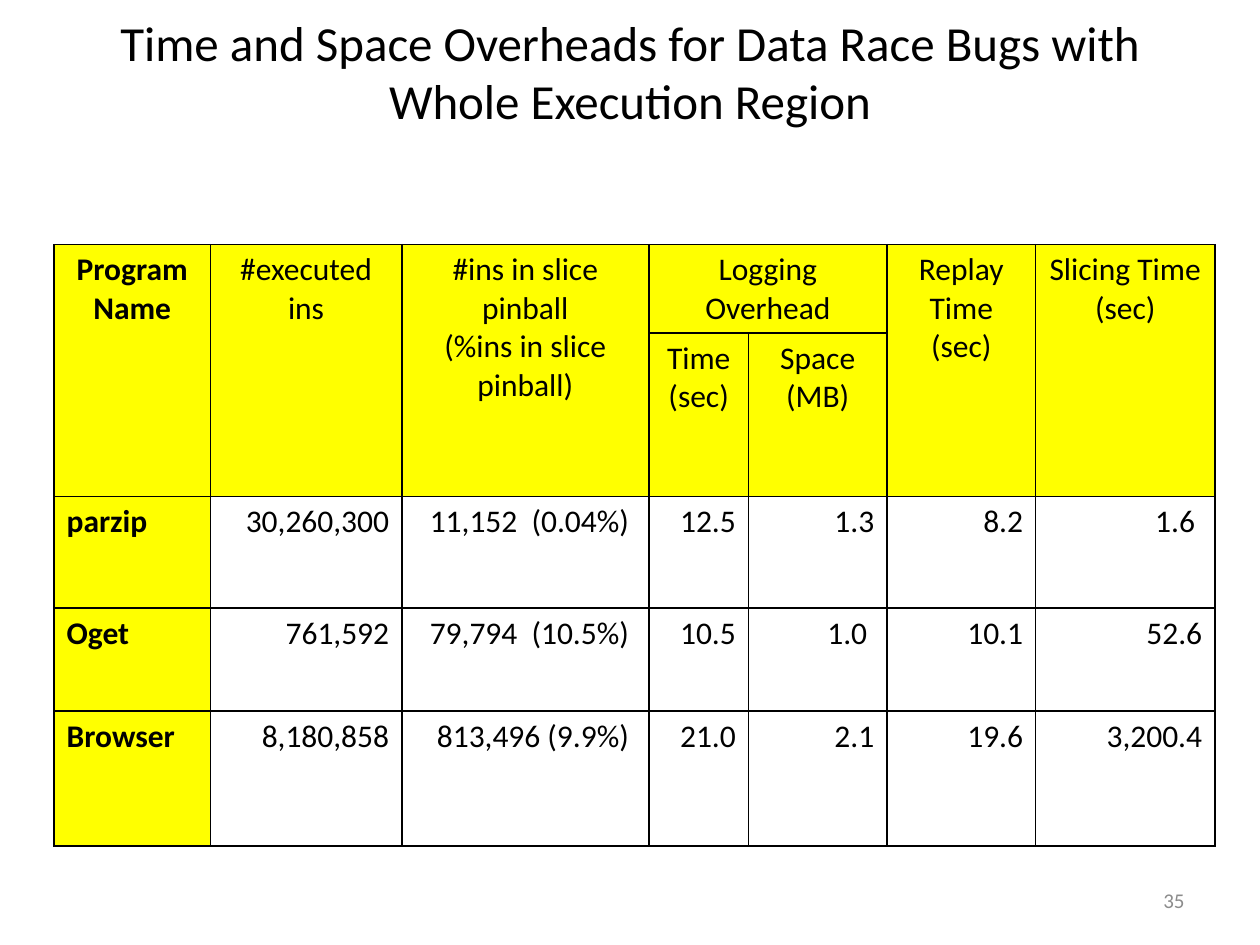
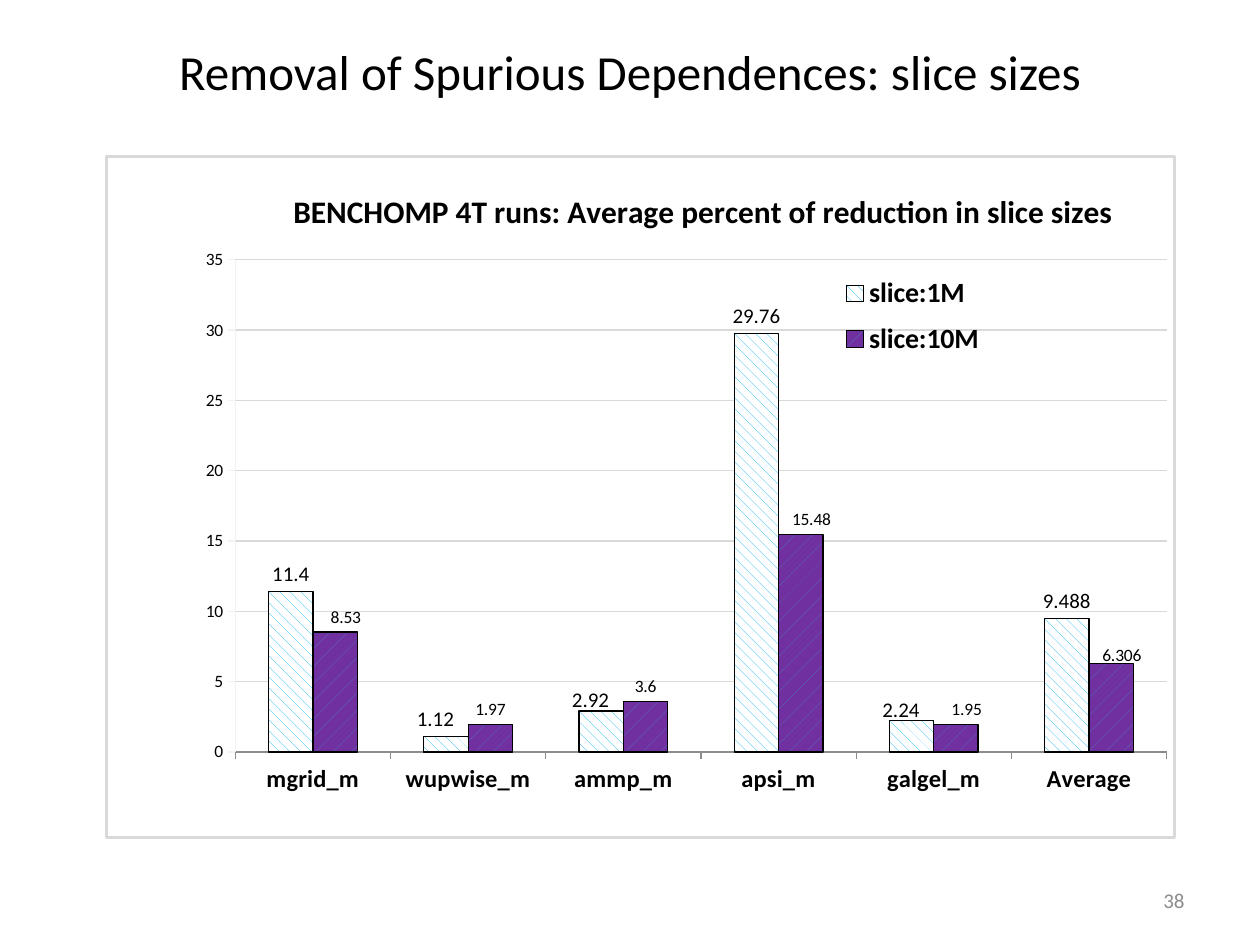
from dataclasses import dataclass

from lxml import etree
from pptx import Presentation
from pptx.chart.data import CategoryChartData
from pptx.dml.color import RGBColor
from pptx.enum.chart import XL_CHART_TYPE as ChartType
from pptx.enum.chart import XL_LABEL_POSITION as LabelPosition
from pptx.enum.chart import XL_LEGEND_POSITION as LegendPosition
from pptx.enum.chart import XL_TICK_MARK as TickMark
from pptx.enum.dml import MSO_PATTERN as Pattern
from pptx.enum.text import MSO_ANCHOR as Anchor
from pptx.enum.text import PP_ALIGN as Align
from pptx.oxml import parse_xml
from pptx.oxml.ns import nsdecls, qn
from pptx.util import Cm, Pt


@dataclass(frozen=True)
class Theme:
    font: str = "Calibri"
    ink: str = "000000"
    paper: str = "FFFFFF"
    muted: str = "8C8C8C"
    highlight: str = "FFFF00"
    grid: str = "D9D9D9"
    axis: str = "F2F2F2"
    cyan: str = "00B0F0"
    blue: str = "4F81BD"
    purple: str = "7030A0"
    title: int = 28
    body: int = 18
    legend: int = 16
    category: int = 14
    small: int = 12
    tick: int = 10


THEME = Theme()

OVERHEAD_TITLE = "Time and Space Overheads for Data Race Bugs with Whole Execution Region"
OVERHEAD_PAGE = 35
HEADER_ROWS = [
    ["Program Name", "#executed\nins", "#ins in slice pinball\n(%ins in slice pinball)",
     "Logging Overhead", "", "Replay\nTime\n(sec)", "Slicing Time\n(sec)"],
    ["", "", "", "Time\n(sec)", "Space\n(MB)", "", ""],
]
PROGRAM_ROWS = [
    ["parzip", "30,260,300", "11,152  (0.04%) ", "12.5", "1.3", "8.2", "1.6 "],
    ["Oget", "761,592", "79,794  (10.5%) ", "10.5", "1.0 ", "10.1", "52.6"],
    ["Browser", "8,180,858", "813,496 (9.9%) ", "21.0", "2.1", "19.6", "3,200.4"],
]
COLUMN_WIDTHS = [3.15, 3.86, 4.98, 2.01, 2.79, 3.0, 3.61]
ROW_HEIGHTS = [0.99, 1.4, 2.24, 2.08, 2.72]
TALL_COLUMNS = (0, 1, 2, 5, 6)
LOGGING_COLUMNS = (3, 4)

REDUCTION_TITLE = "Removal of Spurious Dependences: slice sizes"
REDUCTION_PAGE = 38
CHART_TITLE = "BENCHOMP 4T runs: Average percent of reduction in slice sizes"
BENCHMARKS = ["mgrid_m", "wupwise_m", "ammp_m", "apsi_m", "galgel_m", "Average"]
SLICES = [
    dict(name="slice:1M", values=[11.4, 1.12, 2.92, 29.76, 2.24, 9.488],
         pattern=Pattern.DASHED_DOWNWARD_DIAGONAL, fore=THEME.cyan, back=THEME.paper,
         size=THEME.small, shifts={1: (-0.01, 0), 2: (-0.01, 0.01), 4: (-0.01, 0.01)}),
    dict(name="slice:10M", values=[8.53, 1.97, 3.6, 15.48, 1.95, 6.306],
         pattern=Pattern.PERCENT_5, fore=THEME.blue, back=THEME.purple,
         size=THEME.tick, shifts={0: (0.01, 0), 3: (0.01, 0), 4: (0.01, 0), 5: (0.01, 0.01)}),
]


def rgb(value):
    return RGBColor.from_string(value)


def style_font(font, size, color=THEME.ink, bold=False):
    font.name = THEME.font
    font.size = Pt(size)
    font.bold = bold
    font.color.rgb = rgb(color)


def write(frame, text, size, align, color=THEME.ink, bold=False):
    frame.text = text
    for para in frame.paragraphs:
        para.alignment = align
        style_font(para.font, size, color, bold)


def add_text(page, text, left, top, width, height, size, align, color=THEME.ink):
    box = page.shapes.add_textbox(Cm(left), Cm(top), Cm(width), Cm(height))
    box.text_frame.word_wrap = True
    box.text_frame.vertical_anchor = Anchor.MIDDLE
    write(box.text_frame, text, size, align, color)


def add_page(deck, title, number):
    page = deck.slides.add_slide(deck.slide_layouts[6])
    add_text(page, title, 1.27, 0, 22.86, 2.86, THEME.title, Align.CENTER)
    add_text(page, str(number), 18.2, 17.65, 5.93, 1.01, THEME.small, Align.RIGHT, THEME.muted)
    return page


def outline(tag, color, points):
    return (f'<{tag} {nsdecls("a")} w="{Pt(points)}"><a:solidFill>'
            f'<a:srgbClr val="{color}"/></a:solidFill></{tag}>')


def style_cell(cell, highlighted):
    properties = cell._tc.get_or_add_tcPr()
    for side in "LRTB":
        properties.append(parse_xml(outline(f"a:ln{side}", THEME.ink, 1)))
    if highlighted:
        cell.fill.solid()
        cell.fill.fore_color.rgb = rgb(THEME.highlight)
    else:
        cell.fill.background()


def add_overhead_table(page):
    rows = HEADER_ROWS + PROGRAM_ROWS
    frame = page.shapes.add_table(len(rows), len(COLUMN_WIDTHS), Cm(1.09), Cm(4.93),
                                  Cm(sum(COLUMN_WIDTHS)), Cm(sum(ROW_HEIGHTS)))
    table = frame.table
    table.first_row = table.horz_banding = False
    for column, width in zip(table.columns, COLUMN_WIDTHS):
        column.width = Cm(width)
    for row, height in zip(table.rows, ROW_HEIGHTS):
        row.height = Cm(height)
    frame.height = Cm(10.62)

    for r, texts in enumerate(rows):
        header = r < len(HEADER_ROWS)
        for c, text in enumerate(texts):
            cell = table.cell(r, c)
            name = c == 0
            align = Align.CENTER if header else Align.LEFT if name else Align.RIGHT
            write(cell.text_frame, text, THEME.body, align, bold=name)
            style_cell(cell, header or name)

    for c in TALL_COLUMNS:
        table.cell(0, c).merge(table.cell(1, c))
    first, last = LOGGING_COLUMNS
    table.cell(0, first).merge(table.cell(0, last))


def set_layout(parent, index, x, y, size=None, edge=True, inner=False):
    for old in parent.findall(qn("c:layout")):
        parent.remove(old)
    layout = etree.Element(qn("c:layout"))
    manual = etree.SubElement(layout, qn("c:manualLayout"))
    settings = [("layoutTarget", "inner")] if inner else []
    if edge:
        settings += [("xMode", "edge"), ("yMode", "edge")]
    settings += [("x", x), ("y", y)]
    if size:
        settings += [("w", size[0]), ("h", size[1])]
    for tag, value in settings:
        etree.SubElement(manual, qn(f"c:{tag}")).set("val", str(value))
    parent.insert(index, layout)


def style_line(line, color, points=0.75):
    line.color.rgb = rgb(color)
    line.width = Pt(points)


def style_series(series, look):
    fill = series.format.fill
    fill.patterned()
    fill.pattern = look["pattern"]
    fill.fore_color.rgb = rgb(look["fore"])
    fill.back_color.rgb = rgb(look["back"])
    style_line(series.format.line, THEME.ink)
    labels = series.data_labels
    labels.show_value = True
    labels.position = LabelPosition.OUTSIDE_END
    style_font(labels.font, look["size"])
    for index, (x, y) in look["shifts"].items():
        label = series.points[index].data_label
        style_font(label.font, look["size"])
        label.position = LabelPosition.OUTSIDE_END
        element = labels._element.findall(qn("c:dLbl"))[-1]
        set_layout(element, 1, x, y, edge=False)


def add_reduction_chart(page):
    data = CategoryChartData()
    data.categories = BENCHMARKS
    for look in SLICES:
        data.add_series(look["name"], look["values"])
    chart = page.shapes.add_chart(ChartType.COLUMN_CLUSTERED, Cm(2.11), Cm(3.12),
                                  Cm(21.59), Cm(13.79), data).chart
    style_font(chart.font, THEME.tick)
    chart_element = chart._chartSpace.find(qn("c:chart"))
    chart_element.addnext(parse_xml(
        f'<c:spPr {nsdecls("c", "a")}>{outline("a:ln", THEME.grid, 1.75)}</c:spPr>'))

    chart.has_title = True
    write(chart.chart_title.text_frame, CHART_TITLE, THEME.body, Align.CENTER, bold=True)
    set_layout(chart_element.find(qn("c:title")), 1, 0.17, 0.04)
    set_layout(chart_element.find(qn("c:plotArea")), 0, 0.121, 0.152, (0.872, 0.723), inner=True)

    chart.has_legend = True
    chart.legend.position = LegendPosition.RIGHT
    chart.legend.include_in_layout = False
    style_font(chart.legend.font, THEME.legend, bold=True)
    set_layout(chart.legend._element, 1, 0.68, 0.16, (0.15, 0.15))

    categories, values = chart.category_axis, chart.value_axis
    style_font(categories.tick_labels.font, THEME.category, bold=True)
    style_line(categories.format.line, THEME.muted)
    categories.major_tick_mark = values.major_tick_mark = TickMark.OUTSIDE
    values.minimum_scale, values.maximum_scale, values.major_unit = 0, 35, 5
    style_font(values.tick_labels.font, THEME.tick)
    style_line(values.format.line, THEME.axis)
    style_line(values.major_gridlines.format.line, THEME.grid)

    plot = chart.plots[0]
    plot.vary_by_categories = False
    plot.gap_width = 150
    plot.overlap = 0
    for series, look in zip(plot.series, SLICES):
        style_series(series, look)


def main():
    deck = Presentation()
    deck.slide_width, deck.slide_height = Cm(25.4), Cm(19.05)
    add_overhead_table(add_page(deck, OVERHEAD_TITLE, OVERHEAD_PAGE))
    add_reduction_chart(add_page(deck, REDUCTION_TITLE, REDUCTION_PAGE))
    deck.save("out.pptx")


if __name__ == "__main__":
    main()
